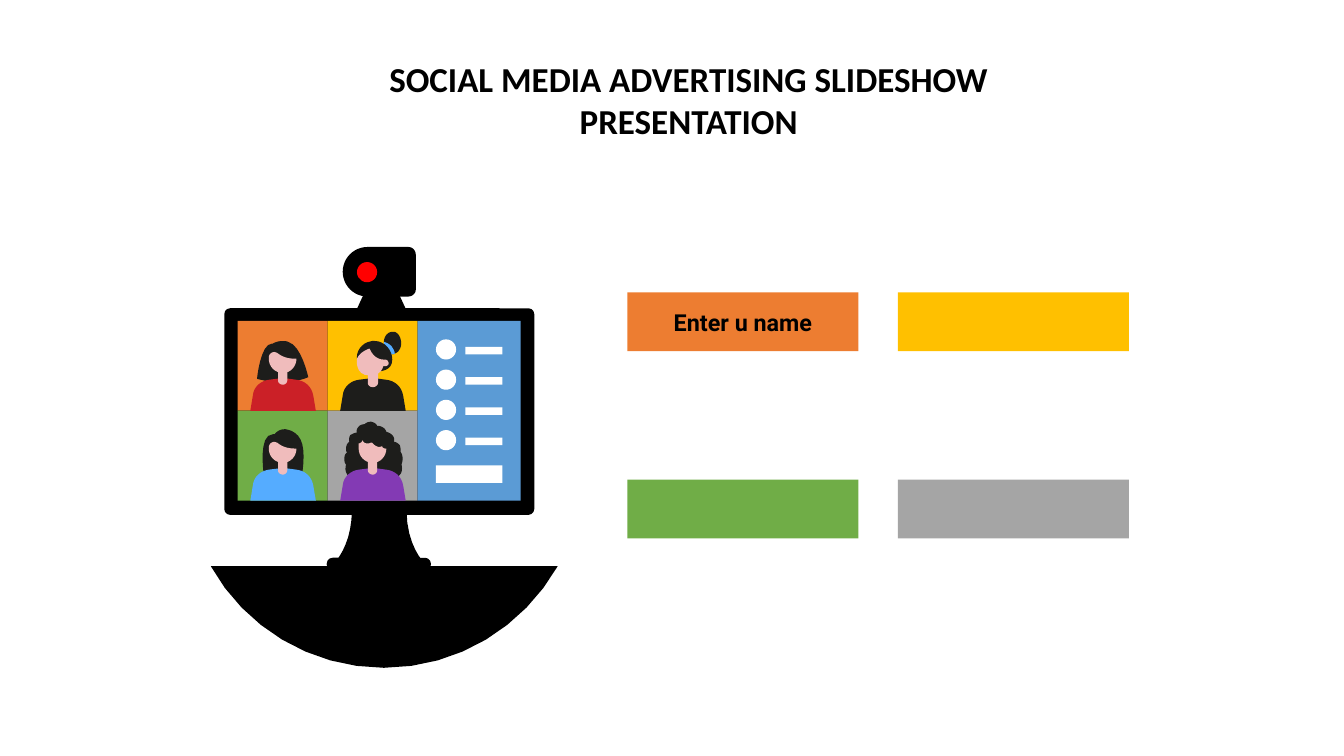
import pptx
import pptx.util
from pptx.dml.color import RGBColor
from pptx.enum.shapes import MSO_SHAPE
from pptx.enum.text import MSO_ANCHOR, MSO_AUTO_SIZE, PP_ALIGN

BLACK = RGBColor(0x00, 0x00, 0x00)
WHITE = RGBColor(0xFF, 0xFF, 0xFF)
RED = RGBColor(0xFF, 0x00, 0x00)
ORANGE = RGBColor(0xED, 0x7D, 0x31)
YELLOW = RGBColor(0xFF, 0xC0, 0x00)
GREEN = RGBColor(0x70, 0xAD, 0x47)
GRAY = RGBColor(0xA5, 0xA5, 0xA5)
BLUE = RGBColor(0x5B, 0x9B, 0xD5)
SKY = RGBColor(0x55, 0xAC, 0xFF)
CRIMSON = RGBColor(0xCB, 0x20, 0x27)
PURPLE = RGBColor(0x83, 0x3A, 0xB4)
HAIR = RGBColor(0x1D, 0x1D, 0x1B)
SKIN = RGBColor(0xF0, 0xBC, 0xBC)

TILE = 1.07
SCREEN_LEFT, SCREEN_TOP = 2.83, 3.82
CURVE_STEPS = 8

deck = pptx.Presentation()
deck.slide_width = pptx.util.Inches(16)
deck.slide_height = pptx.util.Inches(9)
slide = deck.slides.add_slide(deck.slide_layouts[6])


def write(frame, text, font="Calibri", size=20, color=BLACK, anchor=MSO_ANCHOR.TOP):
    frame.word_wrap = True
    frame.vertical_anchor = anchor
    para = frame.paragraphs[0]
    para.alignment = PP_ALIGN.CENTER
    span = para.add_run()
    span.text = text
    span.font.name = font
    span.font.size = pptx.util.Pt(size)
    span.font.bold = True
    span.font.color.rgb = color


def outline(color, start, *segments, column=0, row=0):
    """Fill an outline in inches, moved by whole tiles; six numbers make a Bézier curve."""
    points = [start]
    for segment in segments:
        if len(segment) == 2:
            points.append(segment)
            continue
        (x0, y0), (x1, y1, x2, y2, x3, y3) = points[-1], segment
        for step in range(1, CURVE_STEPS + 1):
            t = step / CURVE_STEPS
            a, b, c, d = (1 - t) ** 3, 3 * t * (1 - t) ** 2, 3 * t * t * (1 - t), t ** 3
            points.append((a * x0 + b * x1 + c * x2 + d * x3,
                           a * y0 + b * y1 + c * y2 + d * y3))
    places = [(pptx.util.Inches(x + column * TILE), pptx.util.Inches(y + row * TILE))
              for x, y in points]
    builder = slide.shapes.build_freeform(*places[0], scale=1.0)
    builder.add_line_segments(places[1:], close=True)
    shape = builder.convert_to_shape()
    shape.shadow.inherit = False
    shape.fill.solid()
    shape.fill.fore_color.rgb = color
    shape.line.fill.background()


# Title
title = slide.shapes.add_textbox(*map(pptx.util.Inches, (3.2, 0.64, 10, 1.11))).text_frame
write(title, "SOCIAL MEDIA ADVERTISING SLIDESHOW PRESENTATION", size=30)
title.auto_size = MSO_AUTO_SIZE.SHAPE_TO_FIT_TEXT

# Camera mount, camera body, desk and monitor neck
outline(BLACK, (4.35, 3.46), (4.23, 3.72), (4.85, 3.72), (4.73, 3.46))
outline(BLACK, (4.38, 2.94), (4.38, 3.53), (4.86, 3.53), (4.91, 3.53, 4.95, 3.49, 4.95, 3.45),
        (4.95, 3.03), (4.95, 2.98, 4.91, 2.94, 4.86, 2.94))
outline(BLACK, (2.51, 6.74), (2.91, 7.46, 3.69, 7.95, 4.57, 7.95),
        (5.46, 7.95, 6.23, 7.46, 6.64, 6.74))
outline(BLACK, (4.19, 6.07), (4.19, 6.42, 4.05, 6.62, 4, 6.68), (3.99, 6.7, 3.98, 6.7, 3.98, 6.7),
        (5.05, 6.7), (5.05, 6.7, 4.84, 6.5, 4.84, 6.07))

# Camera, monitor, screen and name cards
RECT, ROUND, OVAL = MSO_SHAPE.RECTANGLE, MSO_SHAPE.ROUNDED_RECTANGLE, MSO_SHAPE.OVAL
blocks = [
    (OVAL, 4.08, 2.94, 0.59, 0.59, BLACK, ""),
    (OVAL, 4.25, 3.12, 0.24, 0.24, RED, ""),
    (ROUND, 2.67, 3.67, 3.69, 2.46, BLACK, ""),
    (ROUND, 3.89, 6.64, 1.24, 0.15, BLACK, ""),
    (RECT, SCREEN_LEFT + 2 * TILE, SCREEN_TOP, 1.23, 2 * TILE, BLUE, ""),
    (RECT, 5.19, 5.54, 0.79, 0.21, WHITE, ""),
]
for line in range(4):
    top = 4.04 + 0.36 * line
    blocks.append((OVAL, 5.19, top, 0.24, 0.24, WHITE, ""))
    blocks.append((RECT, 5.54, top + 0.09, 0.44, 0.09, WHITE, ""))
for number, color in enumerate((ORANGE, YELLOW, GREEN, GRAY)):
    row, column = divmod(number, 2)
    blocks.append((RECT, SCREEN_LEFT + column * TILE, SCREEN_TOP + row * TILE,
                   TILE, TILE, color, ""))
    blocks.append((RECT, 7.47 + 3.22 * column, 3.48 + 2.23 * row, 2.75, 0.7, color,
                   "Enter u name" if number == 0 else ""))

for kind, left, top, width, height, color, text in blocks:
    box = slide.shapes.add_shape(kind, *map(pptx.util.Inches, (left, top, width, height)))
    box.shadow.inherit = False
    box.fill.solid()
    box.fill.fore_color.rgb = color
    box.line.fill.background()
    if kind == ROUND:
        box.adjustments[0] = min(0.5, 0.07 / height)
    if text:
        write(box.text_frame, text, font="Roboto", anchor=MSO_ANCHOR.MIDDLE)

# Hair behind the heads
outline(HAIR, (3.37, 4.06), (3.29, 4.06, 3.25, 4.09, 3.25, 4.09), (3.24, 4.09),
        (3.1, 4.09, 3.06, 4.51, 3.06, 4.51), (3.17, 4.54, 3.27, 4.55, 3.35, 4.55),
        (3.55, 4.55, 3.67, 4.49, 3.67, 4.49), (3.67, 4.49, 3.59, 4.11, 3.43, 4.07),
        (3.41, 4.06, 3.38, 4.06, 3.37, 4.06))
outline(HAIR, (4.67, 3.95), (4.64, 3.95, 4.61, 3.97, 4.59, 4), (4.58, 4.02, 4.57, 4.04, 4.57, 4.07),
        (4.57, 4.09, 4.58, 4.11, 4.58, 4.12), (4.59, 4.16, 4.62, 4.19, 4.64, 4.21),
        (4.65, 4.22, 4.69, 4.22, 4.7, 4.21), (4.72, 4.2, 4.74, 4.19, 4.75, 4.17),
        (4.78, 4.13, 4.78, 4.08, 4.77, 4.04), (4.76, 4, 4.74, 3.97, 4.7, 3.95))
outline(SKY, (4.57, 4.07), (4.57, 4.09, 4.58, 4.11, 4.58, 4.12),
        (4.59, 4.16, 4.62, 4.19, 4.64, 4.21), (4.65, 4.22, 4.69, 4.22, 4.7, 4.21),
        (4.7, 4.18, 4.68, 4.15, 4.66, 4.12), (4.64, 4.1, 4.61, 4.08, 4.57, 4.07))
outline(HAIR, (4.46, 4.06), (4.43, 4.06), (4.29, 4.08, 4.24, 4.2, 4.25, 4.27), (4.51, 4.42),
        (4.52, 4.42, 4.67, 4.42, 4.67, 4.28), (4.67, 4.17, 4.58, 4.06, 4.46, 4.06))
outline(HAIR, (3.39, 5.11), (3.31, 5.11, 3.27, 5.17, 3.27, 5.17), (3.25, 5.17),
        (3.07, 5.17, 3.14, 5.64, 3.14, 5.64), (3.6, 5.64), (3.64, 5.32, 3.6, 5.19, 3.47, 5.13),
        (3.44, 5.12, 3.41, 5.11, 3.39, 5.11))
outline(HAIR, (4.42, 5.02), (4.39, 5.02, 4.36, 5.03, 4.34, 5.05), (4.32, 5.05, 4.28, 5.06, 4.27, 5.08),
        (4.25, 5.1, 4.24, 5.13, 4.25, 5.15), (4.22, 5.15, 4.19, 5.17, 4.17, 5.18),
        (4.16, 5.2, 4.15, 5.23, 4.16, 5.26), (4.12, 5.28, 4.11, 5.35, 4.13, 5.39),
        (4.11, 5.4, 4.1, 5.43, 4.1, 5.46), (4.1, 5.48, 4.1, 5.51, 4.12, 5.53),
        (4.11, 5.57, 4.11, 5.61, 4.13, 5.64), (4.14, 5.67, 4.18, 5.7, 4.22, 5.7),
        (4.26, 5.71, 4.3, 5.71, 4.34, 5.71), (4.45, 5.71, 4.56, 5.69, 4.68, 5.69),
        (4.71, 5.69, 4.75, 5.67, 4.77, 5.64), (4.79, 5.61, 4.79, 5.56, 4.78, 5.53),
        (4.8, 5.48, 4.8, 5.42, 4.77, 5.38), (4.77, 5.35, 4.77, 5.33, 4.76, 5.3),
        (4.74, 5.28, 4.72, 5.26, 4.69, 5.26), (4.7, 5.23, 4.69, 5.2, 4.67, 5.18),
        (4.65, 5.16, 4.63, 5.15, 4.6, 5.14), (4.59, 5.1, 4.54, 5.07, 4.5, 5.07),
        (4.49, 5.07), (4.48, 5.04, 4.45, 5.03, 4.42, 5.02))

# Shoulders and necks share one outline, placed per tile
for number, shirt in enumerate((CRIMSON, HAIR, SKY, PURPLE)):
    row, column = divmod(number, 2)
    outline(shirt, (3.37, 4.5), (3.21, 4.52), (3.11, 4.53, 3.02, 4.6, 3.01, 4.71), (2.98, 4.89),
            (3.76, 4.89), (3.73, 4.71), (3.71, 4.6, 3.63, 4.53, 3.52, 4.52),
            column=column, row=row)
    right, chin = (3.43, 4.61) if number == 1 else (3.42, 4.58)
    outline(SKIN, (3.31, 4.4), (3.31, chin - 0.05), (3.31, chin - 0.02, 3.34, chin, 3.37, chin),
            (3.39, chin, right, chin - 0.02, right, chin - 0.05), (right, 4.4),
            column=column, row=row)

# Faces: the left column shares one outline
for row in range(2):
    outline(SKIN, (3.27, 4.19), (3.23, 4.19, 3.2, 4.22, 3.2, 4.26), (3.2, 4.27),
            (3.2, 4.36, 3.27, 4.44, 3.37, 4.44), (3.46, 4.44, 3.53, 4.36, 3.53, 4.27),
            (3.51, 4.27), (3.43, 4.27, 3.36, 4.25, 3.3, 4.2), row=row)
outline(SKIN, (4.4, 4.15), (4.4, 4.15, 4.29, 4.18, 4.25, 4.27), (4.25, 4.27, 4.22, 4.47, 4.4, 4.47),
        (4.58, 4.47, 4.57, 4.32, 4.57, 4.28), (4.56, 4.28), (4.54, 4.28, 4.45, 4.27, 4.4, 4.15))
outline(SKIN, (4.59, 4.28), (4.56, 4.28, 4.54, 4.31, 4.54, 4.31), (4.52, 4.34),
        (4.54, 4.35, 4.56, 4.36, 4.58, 4.36), (4.63, 4.36, 4.64, 4.32, 4.61, 4.29))
outline(SKIN, (4.32, 5.24), (4.31, 5.26, 4.29, 5.28, 4.27, 5.28), (4.27, 5.34),
        (4.27, 5.43, 4.34, 5.51, 4.44, 5.51), (4.53, 5.51, 4.6, 5.43, 4.6, 5.34), (4.59, 5.34),
        (4.57, 5.34, 4.55, 5.33, 4.55, 5.31), (4.54, 5.32, 4.52, 5.32, 4.51, 5.32),
        (4.49, 5.32, 4.48, 5.31, 4.46, 5.3), (4.45, 5.29, 4.44, 5.28, 4.43, 5.27), (4.42, 5.27),
        (4.41, 5.27, 4.4, 5.28, 4.38, 5.28), (4.34, 5.28, 4.32, 5.26, 4.32, 5.24))

deck.save("out.pptx")
